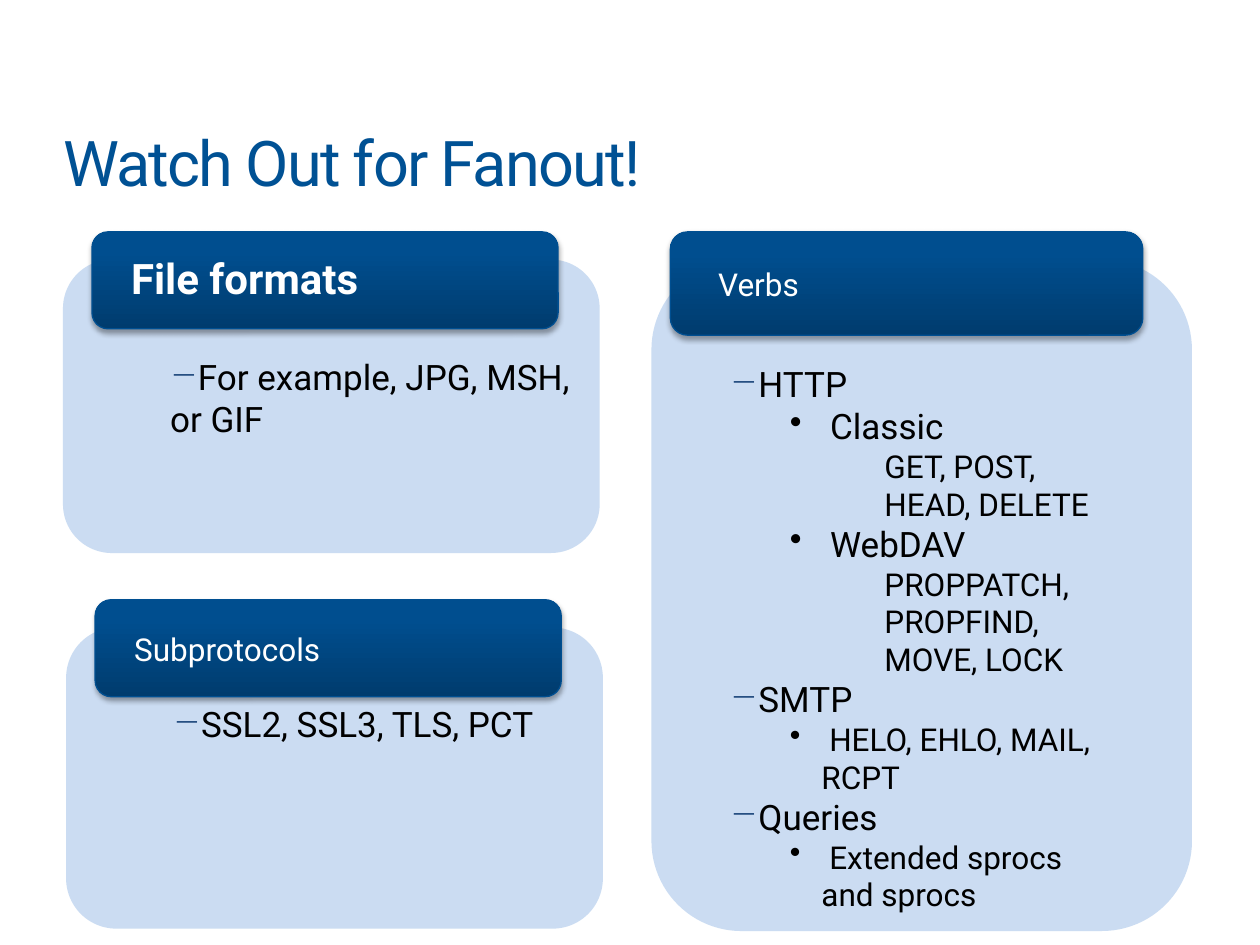
from lxml import etree
from pptx import Presentation
from pptx import util as u
from pptx.dml.color import RGBColor
from pptx.enum import shapes, text
from pptx.oxml import parse_xml
from pptx.oxml.ns import nsdecls, qn

CELL = 0.1  # inches; the slide is a grid of 100 columns by 75 rows
COLS, ROWS = 100, 75

GRAD = [(0, "003C6E"), (80, "004E8F"), (100, "004F90")]
# Level: left margin and first-line indent in columns, bullet, bullet colour
LEVELS = {
    "flat": (0, 0, None, None),
    "lead": (0, 0, "−", "1F497D"),
    "dash": (5, -2.25, "−", "1F497D"),
    "dot": (10, -2.5, "•", None),
    "deep": (15, 0, None, None),
}


def grid(n):
    return u.Inches(n * CELL)


def rgb(code):
    return RGBColor.from_string(code)


class Deck:
    font = "Roboto"
    pale, edge, navy = "C6D9F1", "004F91", "005194"
    white, black = "FFFFFF", "000000"

    def __init__(self):
        self.prs = Presentation()
        self.prs.slide_width, self.prs.slide_height = grid(COLS), grid(ROWS)
        self.slide = self.prs.slides.add_slide(self.prs.slide_layouts[6])

    def round(self, box):
        kind = shapes.MSO_SHAPE.ROUNDED_RECTANGLE
        shape = self.slide.shapes.add_shape(kind, *map(grid, box))
        shape.shadow.inherit = False
        return shape

    def panel(self, box):
        shape = self.round(box)
        shape.fill.solid()
        shape.fill.fore_color.rgb = rgb(self.pale)
        shape.line.fill.background()
        tint = shape.fill._xPr.find(qn("a:solidFill"))[0]
        etree.SubElement(tint, qn("a:alpha"), val="90000")

    def bar(self, box):
        """Header bar with an upward gradient and a soft shadow below."""
        shape = self.round(box)
        shape.line.color.rgb = rgb(self.edge)
        shape.line.width = u.Pt(0.75)
        prop = shape._element.spPr
        stops = "".join(
            f'<a:gs pos="{at * 1000}"><a:srgbClr val="{code}"/></a:gs>'
            for at, code in GRAD)
        prop.find(qn("a:prstGeom")).addnext(parse_xml(
            f'<a:gradFill {nsdecls("a")}><a:gsLst>{stops}</a:gsLst>'
            '<a:lin ang="16200000" scaled="0"/></a:gradFill>'))
        glow = etree.SubElement(
            prop.find(qn("a:effectLst")), qn("a:outerShdw"),
            blurRad=str(u.Pt(3.1)), dist=str(u.Pt(1.8)),
            dir="5400000", algn="t", rotWithShape="0")
        tint = etree.SubElement(glow, qn("a:srgbClr"), val=self.black)
        etree.SubElement(tint, qn("a:alpha"), val="35000")

    def frame(self, box, pads=(0, 0, 0, 0), mid=False):
        """Text frame; pads run left, top, right, bottom."""
        tf = self.slide.shapes.add_textbox(*map(grid, box)).text_frame
        tf.word_wrap = True
        (tf.margin_left, tf.margin_top,
         tf.margin_right, tf.margin_bottom) = map(grid, pads)
        if mid:
            tf.vertical_anchor = text.MSO_ANCHOR.MIDDLE
        return tf

    def style(self, para, size, color, bold=False):
        for run in para.runs:
            run.font.name, run.font.size = self.font, u.Pt(size)
            run.font.color.rgb, run.font.bold = rgb(color), bold

    def title(self, box, words):
        tf = self.frame(box)
        tf.text = words
        para = tf.paragraphs[0]
        self.style(para, 36, self.navy)
        para.runs[0].font._element.set("spc", "-100")

    def label(self, box, words, size, bold):
        tf = self.frame(box, (2.4, 0, 2.4, 0), mid=True)
        tf.text = words
        para = tf.paragraphs[0]
        if bold:
            para.line_spacing = 0.9
        self.style(para, size, self.white, bold)

    def items(self, box, rows):
        tf = self.frame(box, (7, 5.5, 7, 1.9))
        tf.text = "\n".join(words for _, _, words in rows)
        for para, (level, size, _) in zip(tf.paragraphs, rows):
            self.style(para, size, self.black)
            self.bullet(para, *LEVELS[level])

    def bullet(self, para, left, first, mark, color):
        prop = para._p.get_or_add_pPr()
        prop.set("marL", str(grid(left)))
        prop.set("indent", str(grid(first)))
        if color:
            tint = etree.SubElement(prop, qn("a:buClr"))
            etree.SubElement(tint, qn("a:srgbClr"), val=color)
        if mark:
            etree.SubElement(prop, qn("a:buChar"), char=mark)

    def card(self, box, parts, head, rows):
        """Panel, list, bar and label; parts are placed from the panel."""
        x, y = box[:2]
        body, bar, name = [(x + dx, y + dy, w, h) for dx, dy, w, h in parts]
        self.panel(box)
        self.items(body, rows)
        self.bar(bar)
        self.label(name, *head)


SMALL = [(1.5, 2.5, 50, 45.5), (2.3, -2.2, 37, 7.7), (3, -1.8, 36.6, 7)]
LARGE = [(-3.5, 2.7, 46.7, 48.1), (1.5, -2.2, 37.5, 8.2),
         (-2.1, -1.8, 34.1, 7.4)]

FORMATS = [("lead", 20, "For example, JPG, MSH,"), ("flat", 20, "or GIF")]
PROTOCOLS = [("lead", 20, "SSL2, SSL3, TLS, PCT")]
VERBS = [
    ("dash", 20, "HTTP"),
    ("dot", 20, " Classic"),
    ("deep", 18, "GET, POST, HEAD, DELETE"),
    ("dot", 20, " WebDAV"),
    ("deep", 18, "PROPPATCH, PROPFIND, MOVE, LOCK"),
    ("dash", 20, "SMTP"),
    ("dot", 18, " HELO, EHLO, MAIL, RCPT"),
    ("dash", 20, "Queries"),
    ("dot", 18, " Extended sprocs and sprocs"),
]


def main():
    deck = Deck()
    deck.title((5, 9.8, 90.1, 6.1), "Watch Out for Fanout!")
    deck.card((5, 20.6, 42.6, 23.3), SMALL,
              ("File formats", 24, True), FORMATS)
    deck.card((5.25, 49.8, 42.6, 23.9), SMALL,
              ("Subprotocols", 18, False), PROTOCOLS)
    deck.card((51.7, 20.6, 42.9, 53.3), LARGE,
              ("\tVerbs", 18, False), VERBS)
    deck.prs.save("out.pptx")


if __name__ == "__main__":
    main()
